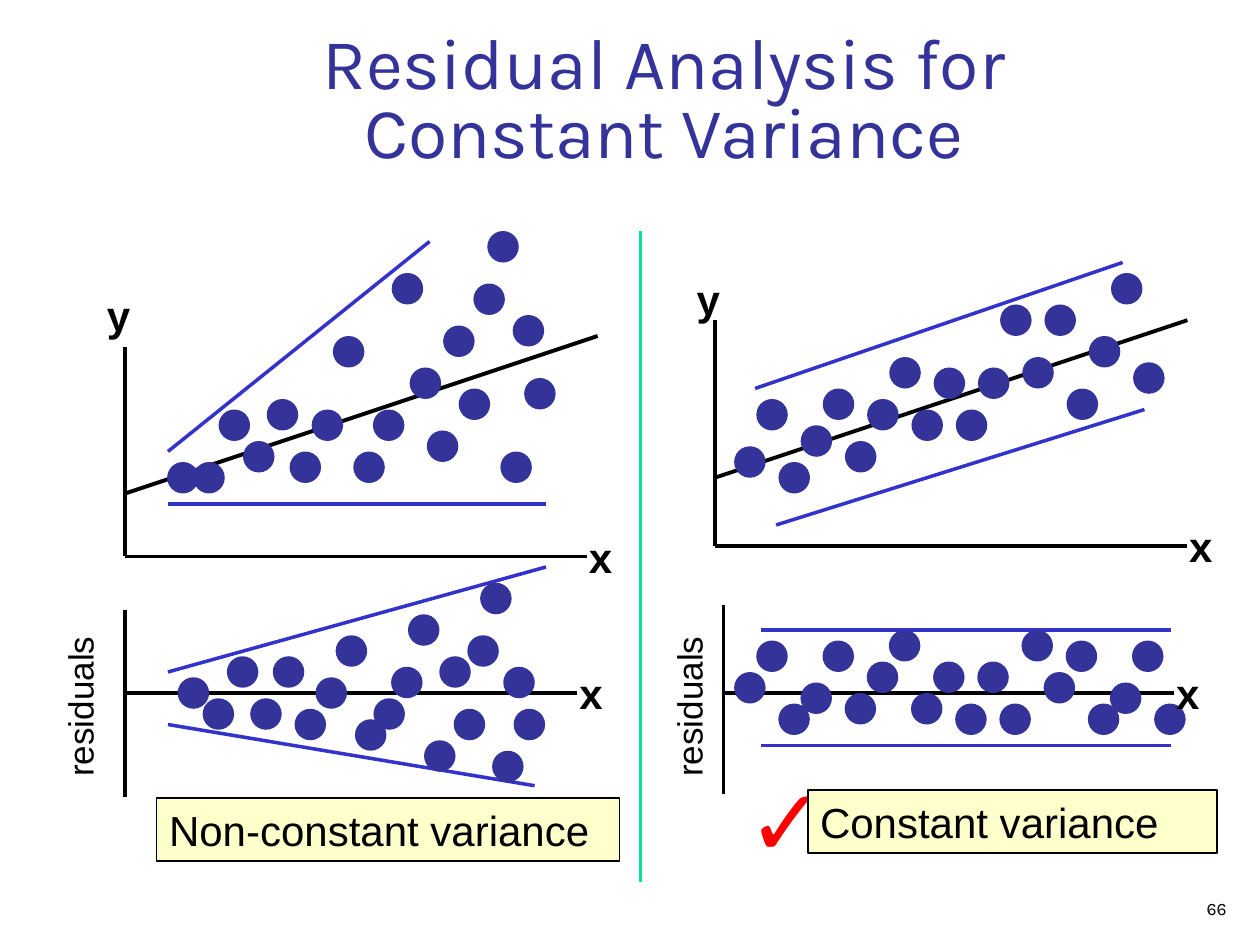
from dataclasses import dataclass

from lxml import etree
from pptx import Presentation
from pptx.dml.color import RGBColor
from pptx.enum import shapes, text
from pptx.oxml import ns
from pptx.util import Pt


@dataclass(frozen=True)
class Theme:
    ink: str = "000000"
    dot: str = "333399"
    band: str = "3333CC"
    divider: str = "00E4A8"
    caption_fill: str = "FFFFCC"
    check: str = "FF0000"
    heading_font: str = "Karla"
    body_font: str = "Arial"
    title_size: float = 41
    label_size: float = 24
    residual_size: float = 20
    check_size: float = 54
    number_size: float = 10
    thin: float = 2
    thick: float = 2.25


THEME = Theme()
ROW_STEP = 6
DOT_SIZE = 18


@dataclass(frozen=True)
class Line:
    start: tuple[float, float]
    end: tuple[float, float]


@dataclass(frozen=True)
class Panel:
    axis_left: float
    axis_right: float
    axis_top: float
    axis_bottom: float
    baseline: float
    bands: tuple[Line, Line]
    first_dot: float
    last_dot: float
    dots_top: float
    dot_rows: tuple[float, ...]
    bulge: float = 0
    trend_start: float | None = None
    y_label_top: float | None = None
    residual_left: float | None = None


PANELS = (
    Panel(71.5, 330, 348.5, 455.5, 396,
          (Line((96, 384), (312, 324)), Line((96, 414), (305.5, 449))),
          101.5, 293.5, 333,
          (9, 11, 7, 11, 7, 12, 9, 5, 13, 11, 8, 3, 15, 7, 12, 5, 0, 16, 8, 12),
          bulge=21, residual_left=-6),
    Panel(413.5, 671, 345.5, 453.5, 396,
          (Line((435, 360), (669, 360)), Line((435, 426), (669, 426))),
          419.5, 659.5, 360,
          (4, 1, 7, 5, 1, 6, 3, 0, 6, 3, 7, 3, 7, 0, 4, 1, 7, 5, 1, 7),
          residual_left=342),
    Panel(71.5, 335.5, 198.5, 318, 318,
          (Line((96, 258), (245.5, 138)), Line((96, 288), (312, 288))),
          95.5, 299.5, 132,
          (22, 22, 17, 20, 16, 21, 17, 10, 21, 17, 4, 13, 19, 9, 15, 5, 0, 21, 8, 14),
          bulge=21, trend_start=282, y_label_top=162),
    Panel(408.5, 678.5, 183, 312, 312,
          (Line((431.5, 222), (641.5, 150)), Line((443.5, 300), (654, 234))),
          419.5, 647.5, 132,
          (20.5, 16, 22, 18.5, 15, 20, 16, 12, 17, 13, 17, 13, 7, 12, 7, 15, 10, 4, 12.5),
          trend_start=273, y_label_top=153),
)


def write_text(shape, content: str, *, size: float, color: str = THEME.ink, font: str = THEME.body_font,
               bold: bool = False, align=text.PP_ALIGN.LEFT, anchor=text.MSO_ANCHOR.TOP,
               wrap: bool = True, line_spacing: float = 1.0) -> None:
    frame = shape.text_frame
    frame.text = content
    frame.word_wrap = wrap
    frame.auto_size = text.MSO_AUTO_SIZE.NONE
    frame.vertical_anchor = anchor
    paragraph = frame.paragraphs[0]
    paragraph.alignment = align
    paragraph.line_spacing = line_spacing
    paragraph.space_before = Pt(0)
    for run in paragraph.runs:
        run.font.name = font
        run.font.size = Pt(size)
        run.font.bold = bold
        run.font.color.rgb = RGBColor.from_string(color)


def draw_line(slide, line: Line, color: str = THEME.ink, width: float = THEME.thin) -> None:
    points = [Pt(value) for value in (*line.start, *line.end)]
    connector = slide.shapes.add_connector(shapes.MSO_CONNECTOR.STRAIGHT, *points)
    connector.line.color.rgb = RGBColor.from_string(color)
    connector.line.width = Pt(width)
    etree.SubElement(connector._element.spPr, ns.qn("a:effectLst"))


def draw_shape(slide, kind, left: float, top: float, width: float, height: float, fill: str):
    shape = slide.shapes.add_shape(kind, Pt(left), Pt(top), Pt(width), Pt(height))
    shape.shadow.inherit = False
    shape.fill.solid()
    shape.fill.fore_color.rgb = RGBColor.from_string(fill)
    shape.line.fill.background()
    return shape


def draw_label(slide, content: str, left: float, top: float, width: float = 36.5, height: float = 36,
               rotation: float = 0, **text_format) -> None:
    box = slide.shapes.add_textbox(Pt(left), Pt(top), Pt(width), Pt(height))
    box.rotation = rotation
    write_text(box, content, **text_format)


def draw_caption(slide, content: str, left: float, top: float, width: float) -> None:
    box = draw_shape(slide, shapes.MSO_SHAPE.RECTANGLE, left, top, width, 36, THEME.caption_fill)
    box.line.color.rgb = RGBColor.from_string(THEME.ink)
    box.line.width = Pt(1)
    write_text(box, content, size=THEME.label_size)


def draw_dots(slide, panel: Panel) -> None:
    last = len(panel.dot_rows) - 1
    for index, row in enumerate(panel.dot_rows):
        share = index / last
        left = panel.first_dot + (panel.last_dot - panel.first_dot) * share
        left += panel.bulge * 4 * share * (1 - share)
        draw_shape(slide, shapes.MSO_SHAPE.OVAL, left, panel.dots_top + ROW_STEP * row,
                   DOT_SIZE, DOT_SIZE, THEME.dot)


def draw_panel(slide, panel: Panel) -> None:
    left, right, baseline = panel.axis_left, panel.axis_right, panel.baseline
    draw_line(slide, Line((left, panel.axis_top), (left, panel.axis_bottom)))
    draw_line(slide, Line((left, baseline), (right, baseline)))
    for band in panel.bands:
        draw_line(slide, band, THEME.band)
    if panel.trend_start is not None:
        trend = Line((left, panel.trend_start), (left + 270, panel.trend_start - 90))
        draw_line(slide, trend, width=THEME.thick)
    draw_dots(slide, panel)
    draw_label(slide, "x", right - 6, baseline - 18, size=THEME.label_size, bold=True)
    if panel.y_label_top is not None:
        draw_label(slide, "y", left - 17.5, panel.y_label_top, width=27.5,
                   size=THEME.label_size, bold=True, wrap=False)
    if panel.residual_left is not None:
        draw_label(slide, "residuals", panel.residual_left, 384, 103, 31, rotation=270,
                   size=THEME.residual_size)


def main() -> None:
    presentation = Presentation()
    presentation.slide_width, presentation.slide_height = Pt(720), Pt(540)
    slide = presentation.slides.add_slide(presentation.slide_layouts[5])

    title = slide.shapes.title
    title.left, title.top, title.width, title.height = Pt(78), Pt(18), Pt(613), Pt(84)
    write_text(title, "Residual Analysis for \vConstant Variance ", size=THEME.title_size, color=THEME.dot,
               font=THEME.heading_font, align=text.PP_ALIGN.CENTER, anchor=text.MSO_ANCHOR.BOTTOM,
               line_spacing=0.8)

    draw_caption(slide, "Non-constant variance", 89.5, 456, 264.5)
    draw_label(slide, "✓", 420, 432, 72, 72, size=THEME.check_size, color=THEME.check)
    draw_caption(slide, "Constant variance", 461.5, 451.5, 234)
    for panel in PANELS:
        draw_panel(slide, panel)
    draw_line(slide, Line((366, 132), (366, 504)), THEME.divider, THEME.thick)
    draw_label(slide, "66", 558, 504, 150, 24.5, size=THEME.number_size, font=THEME.heading_font,
               align=text.PP_ALIGN.RIGHT, anchor=text.MSO_ANCHOR.BOTTOM)

    presentation.save("out.pptx")


if __name__ == "__main__":
    main()
